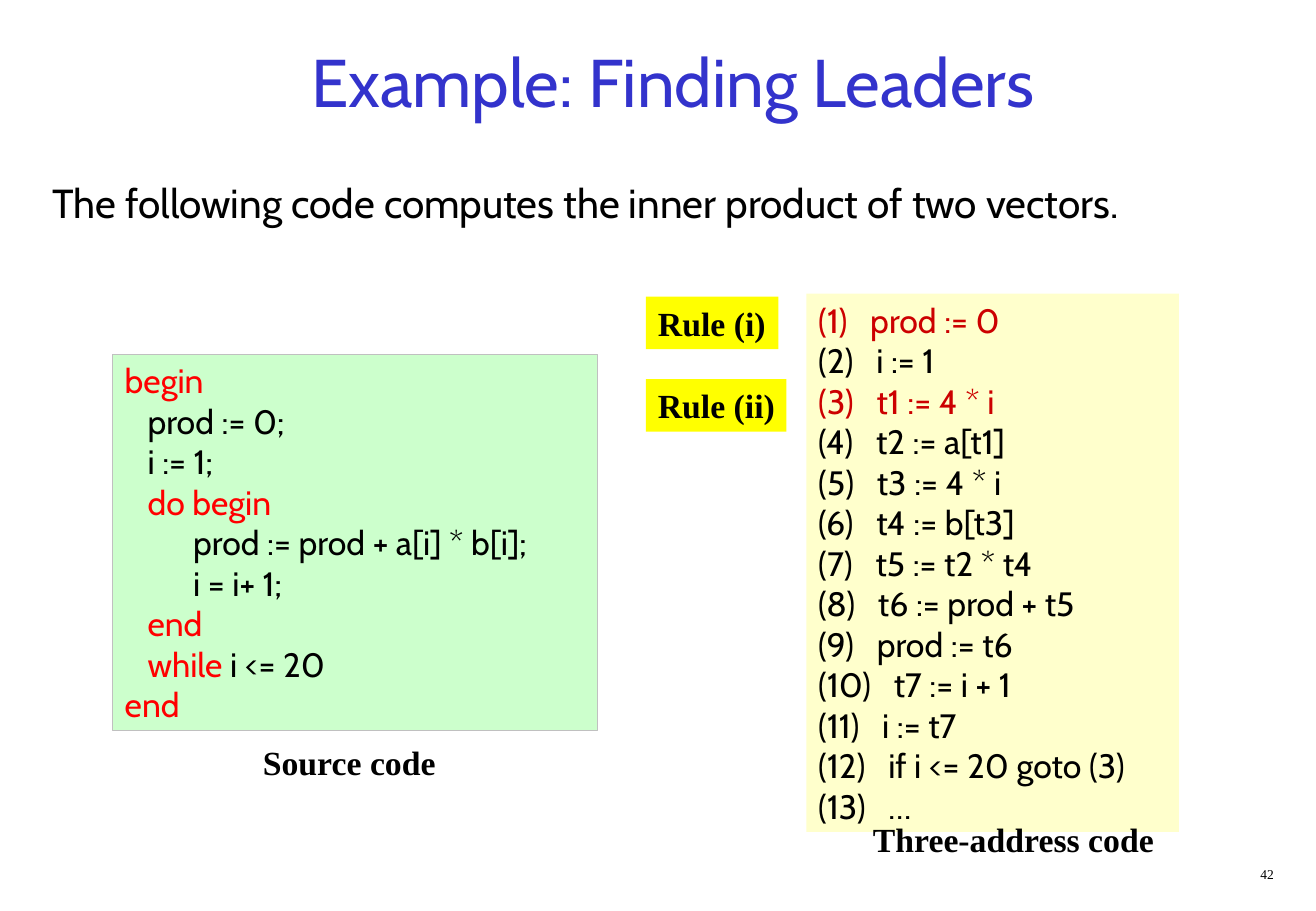
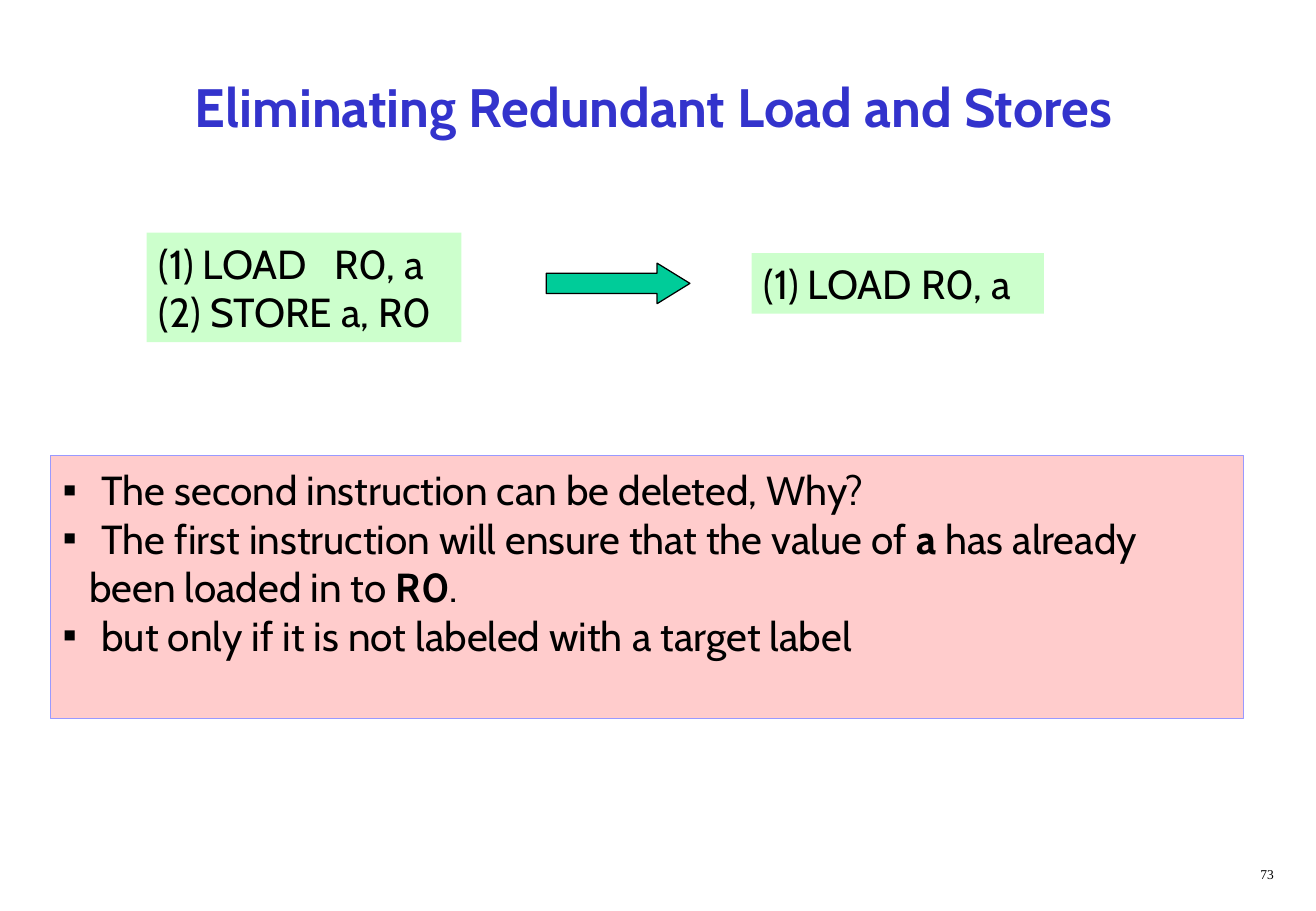
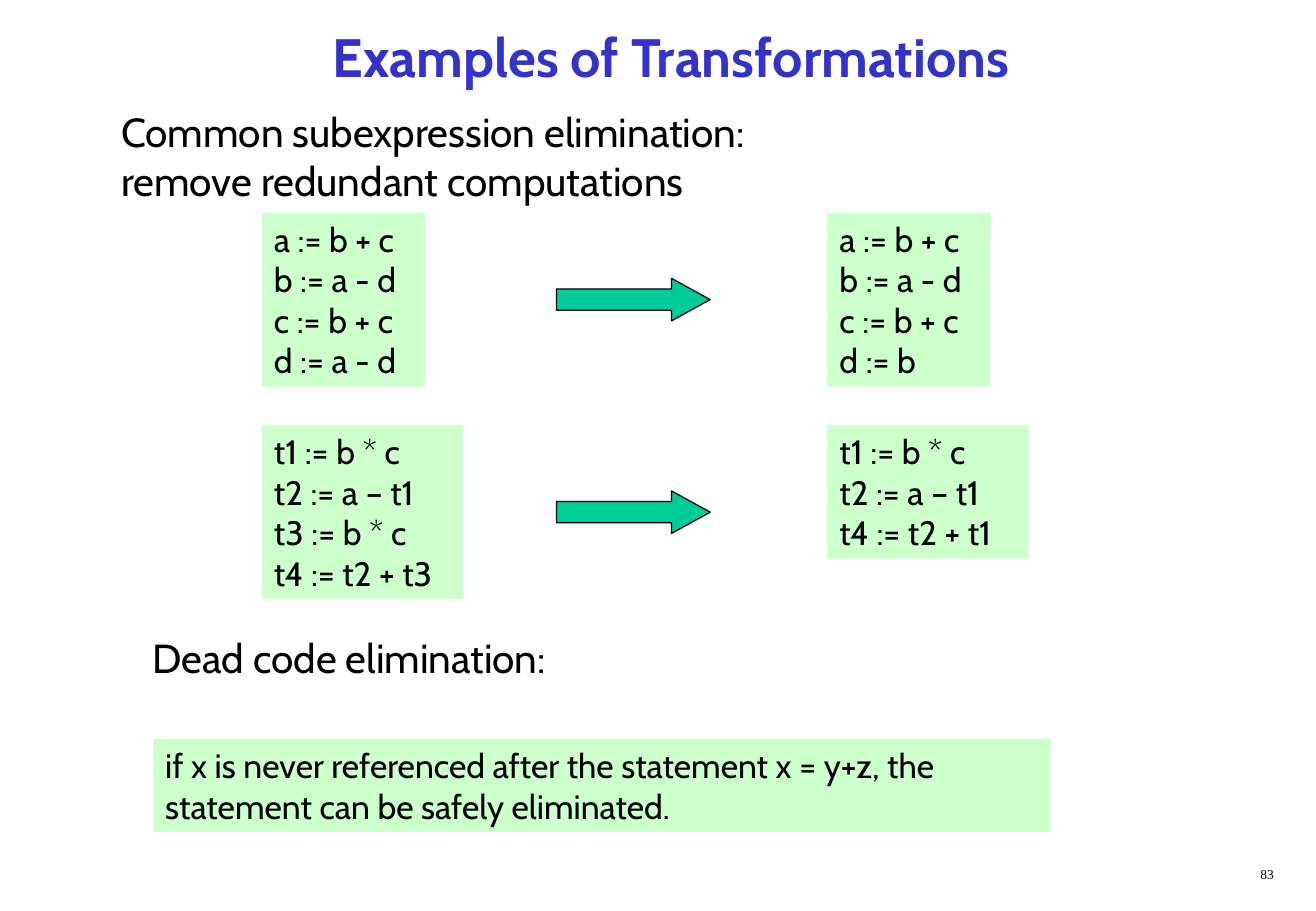
from dataclasses import dataclass, replace
from pptx import Presentation
from pptx.dml.color import RGBColor
from pptx.enum.shapes import MSO_SHAPE as Preset
from pptx.enum.text import MSO_ANCHOR as Anchor, MSO_AUTO_SIZE as AutoSize, PP_ALIGN as Align
from pptx.oxml.ns import qn
from pptx.util import Inches, Pt
from lxml.etree import SubElement


@dataclass(frozen=True)
class TextStyle:
    font: str = "Cabin"
    size: int = 20
    color: str = "000000"
    bold: bool = False
    mark: str = ""  # colour of marked spans; bold when empty


@dataclass(frozen=True)
class Theme:
    red: str = "FF0000"
    dark_red: str = "CC0000"
    green: str = "CCFFCC"
    cream: str = "FFFFCC"
    yellow: str = "FFFF00"
    pink: str = "FFCCCC"
    arrow: str = "00CC99"
    black: str = "000000"
    grey: str = "C0C0C0"
    violet: str = "9999FF"
    code: TextStyle = TextStyle()
    lead: TextStyle = TextStyle(size=24)
    label: TextStyle = TextStyle("Times New Roman", 20, bold=True)
    number: TextStyle = TextStyle("Times New Roman", 8)
    heading: TextStyle = TextStyle(size=32, color="3333CC", bold=True)


THEME = Theme()
WIDTH, HEIGHT = 10.84, 7.5
GRID = 1 / 12        # side of a grid cell, in inches
LINE_HEIGHT = 1.2    # line pitch as a share of the type size
INSET_X, INSET_Y = 0.1, 0.05
TITLE_ONLY, TITLE_AND_BODY = 5, 1


def cells(*counts):
    """Lengths of grid columns or rows."""
    return [Inches(count * GRID) for count in counts]


class Slides:
    def __init__(self, theme):
        self.theme = theme
        self.deck = Presentation()
        self.deck.slide_width, self.deck.slide_height = Inches(WIDTH), Inches(HEIGHT)
        self.page = None

    # Page with its title and number
    def start(self, title, number, place, style=None, layout=TITLE_ONLY):
        self.page = self.deck.slides.add_slide(self.deck.slide_layouts[layout])
        box = self.page.shapes.title
        self.place(box, place)
        self.fill_text(box, [title], style or self.theme.heading, Align.CENTER, Anchor.MIDDLE)
        box = self.page.shapes.add_textbox(*cells(100, 85, 27.1, 3))
        self.fill_text(box, [str(number)], self.theme.number, Align.RIGHT)
        box.text_frame.margin_right = Inches(INSET_X)

    @staticmethod
    def place(box, place):
        box.left, box.top, box.width, box.height = cells(*place)

    @staticmethod
    def paint(shape, fill, line=None):
        shape.fill.solid()
        shape.fill.fore_color.rgb = RGBColor.from_string(fill)
        if line:
            shape.line.color.rgb = RGBColor.from_string(line)
            shape.line.width = Pt(0.75)
        else:
            shape.line.fill.background()

    # Text: backquotes enclose marked spans
    def fill_text(self, box, lines, style, align=Align.LEFT, anchor=Anchor.TOP):
        frame = box.text_frame
        frame.word_wrap, frame.auto_size = True, AutoSize.NONE
        frame.vertical_anchor = anchor
        frame.margin_left = 0 if align == Align.CENTER else Inches(INSET_X)
        frame.margin_right = 0
        frame.margin_top = frame.margin_bottom = Inches(INSET_Y)
        for index, line in enumerate(lines):
            para = frame.add_paragraph() if index else frame.paragraphs[0]
            para.alignment = align
            para.space_before = Pt(0)
            for order, text in enumerate(line.split("`")):
                if text:
                    span = para.add_run()
                    span.text = text
                    self.style_font(span.font, style, marked=order % 2 == 1)

    @staticmethod
    def style_font(font, style, marked):
        font.name, font.size = style.font, Pt(style.size)
        font.bold = style.bold or (marked and not style.mark)
        color = style.mark if marked and style.mark else style.color
        font.color.rgb = RGBColor.from_string(color)

    # Block of lines, as high as its text
    def block(self, left, top, width, lines, style, fill=None, line=None):
        rows = (len(lines) * style.size * LINE_HEIGHT / 72 + 2 * INSET_Y) / GRID
        place = cells(left, top, width, rows)
        if fill:
            box = self.page.shapes.add_shape(Preset.RECTANGLE, *place)
            box.shadow.inherit = False
            self.paint(box, fill, line)
        else:
            box = self.page.shapes.add_textbox(*place)
        self.fill_text(box, lines, style)

    def arrow(self, left, top, width, height, head):
        shape = self.page.shapes.add_shape(
            Preset.RIGHT_ARROW, *cells(left, top, width, height))
        shape.shadow.inherit = False
        shape.adjustments[1] = head
        self.paint(shape, self.theme.arrow, self.theme.black)

    # Bulleted panel; entries are (has bullet, text)
    def bullets(self, place, entries, style, fill, line):
        box = self.page.placeholders[1]
        self.place(box, place)
        self.paint(box, fill, line)
        self.fill_text(box, [text for _, text in entries], style)
        box.text_frame.margin_top = Inches(0.08)
        for para, (bulleted, _) in zip(box.text_frame.paragraphs, entries):
            props = para._p.get_or_add_pPr()
            margin = Inches(0.32 if bulleted else 0.22)
            props.set("marL", str(margin))
            props.set("indent", str(-margin if bulleted else 0))
            if bulleted:
                SubElement(props, qn("a:buFont"), typeface="Times New Roman")
                SubElement(props, qn("a:buChar"), char="▪")
            else:
                SubElement(props, qn("a:buNone"))


def finding_leaders(slides):
    theme = slides.theme
    slides.start("Example: Finding Leaders", 42, (5, 2, 123, 12),
                 replace(theme.heading, size=40, bold=False))
    slides.block(4, 17, 121.2,
                 ["The following code computes the inner product of two vectors."], theme.lead)

    # Three-address code, leaders marked
    slides.block(79.7, 29, 36.84, [
        "`(1)   prod := 0`",
        "(2)   i := 1",
        "`(3)   t1 := 4 * i`",
        "(4)   t2 := a[t1]",
        "(5)   t3 := 4 * i",
        "(6)   t4 := b[t3]",
        "(7)   t5 := t2 * t4",
        "(8)   t6 := prod + t5",
        "(9)   prod := t6",
        "(10)   t7 := i + 1",
        "(11)   i := t7",
        "(12)   if i <= 20 goto (3)",
        "(13)   …",
    ], replace(theme.code, mark=theme.dark_red), theme.cream)

    # Labels
    slides.block(24.8, 72.7, 19.6, ["Source code"], theme.label)
    slides.block(85.1, 80.3, 30.2, ["Three-address code"], theme.label)
    slides.block(63.85, 29.3, 13.1, ["Rule (i)"], theme.label, theme.yellow)
    slides.block(63.85, 37.45, 13.9, ["Rule (ii)"], theme.label, theme.yellow)

    # Source code, keywords marked
    slides.block(11.15, 35, 47.9, [
        "`begin`",
        "   prod := 0;",
        "   i := 1;",
        "   `do begin`",
        "         prod := prod + a[i] * b[i];",
        "         i = i+ 1;",
        "   `end`",
        "   `while` i <= 20",
        "`end`",
    ], replace(theme.code, mark=theme.red), theme.green, theme.grey)


def redundant_loads(slides):
    theme = slides.theme
    slides.start("Eliminating Redundant Load and Stores", 73,
                 (5.75, 3, 117.75, 15), layout=TITLE_AND_BODY)
    # Before and after
    slides.block(14.5, 23, 31.1, ["(1) LOAD   R0, a", "(2) STORE a, R0"],
                 theme.lead, theme.green)
    slides.arrow(54, 26, 14.2, 4, 0.81)
    slides.block(74.3, 25, 28.9, ["(1) LOAD R0, a"], theme.lead, theme.green)
    # Reasons
    slides.bullets((5, 45, 117.9, 26), [
        (True, "The second instruction can be deleted, Why?"),
        (True, "The first instruction will ensure that the value of `a` has already"),
        (False, "been loaded in to `R0`."),
        (True, "but only if it is not labeled with a target label"),
    ], theme.lead, theme.pink, theme.violet)


def transformations(slides):
    theme = slides.theme
    slides.start("Examples of Transformations", 83, (5.75, 3, 121.2, 5))
    slides.block(10.8, 10, 72.4,
                 ["Common subexpression elimination:", "remove redundant computations"],
                 theme.lead)
    # Code before and after each elimination
    pairs = [
        (21, 16.1, ["a := b + c", "b := a - d", "c := b + c", "d := a - d"],
         ["a := b + c", "b := a - d", "c := b + c", "d := b"]),
        (42, 19.9, ["t1 := b * c", "t2 := a – t1", "t3 := b * c", "t4 := t2 + t3"],
         ["t1 := b * c", "t2 := a – t1", "t4 := t2 + t1"]),
    ]
    for top, width, before, after in pairs:
        slides.block(25.9, top, width, before, theme.code, theme.green)
        slides.arrow(55, top + 6.5, 15.2, 4.2, 0.91)
        slides.block(81.8, top, width, after, theme.code, theme.green)
    # Dead code
    slides.block(13.9, 62, 45.6, ["Dead code elimination:"], theme.lead)
    slides.block(15.15, 73, 88.7,
                 ["if x is never referenced after the statement x = y+z, the",
                  "statement can be safely eliminated."], theme.code, theme.green)


def main():
    slides = Slides(THEME)
    for build in (finding_leaders, redundant_loads, transformations):
        build(slides)
    slides.deck.save("out.pptx")


if __name__ == "__main__":
    main()
